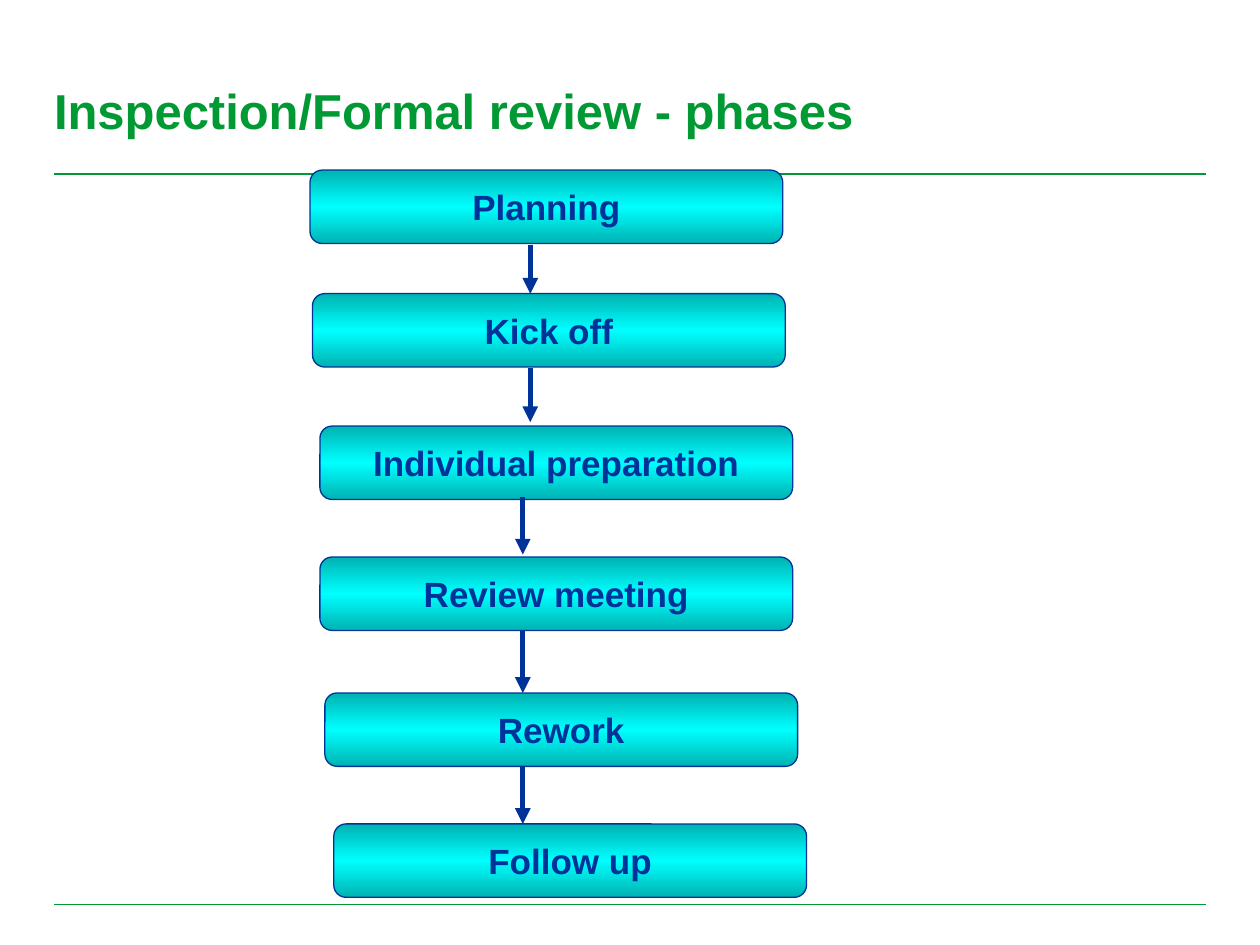
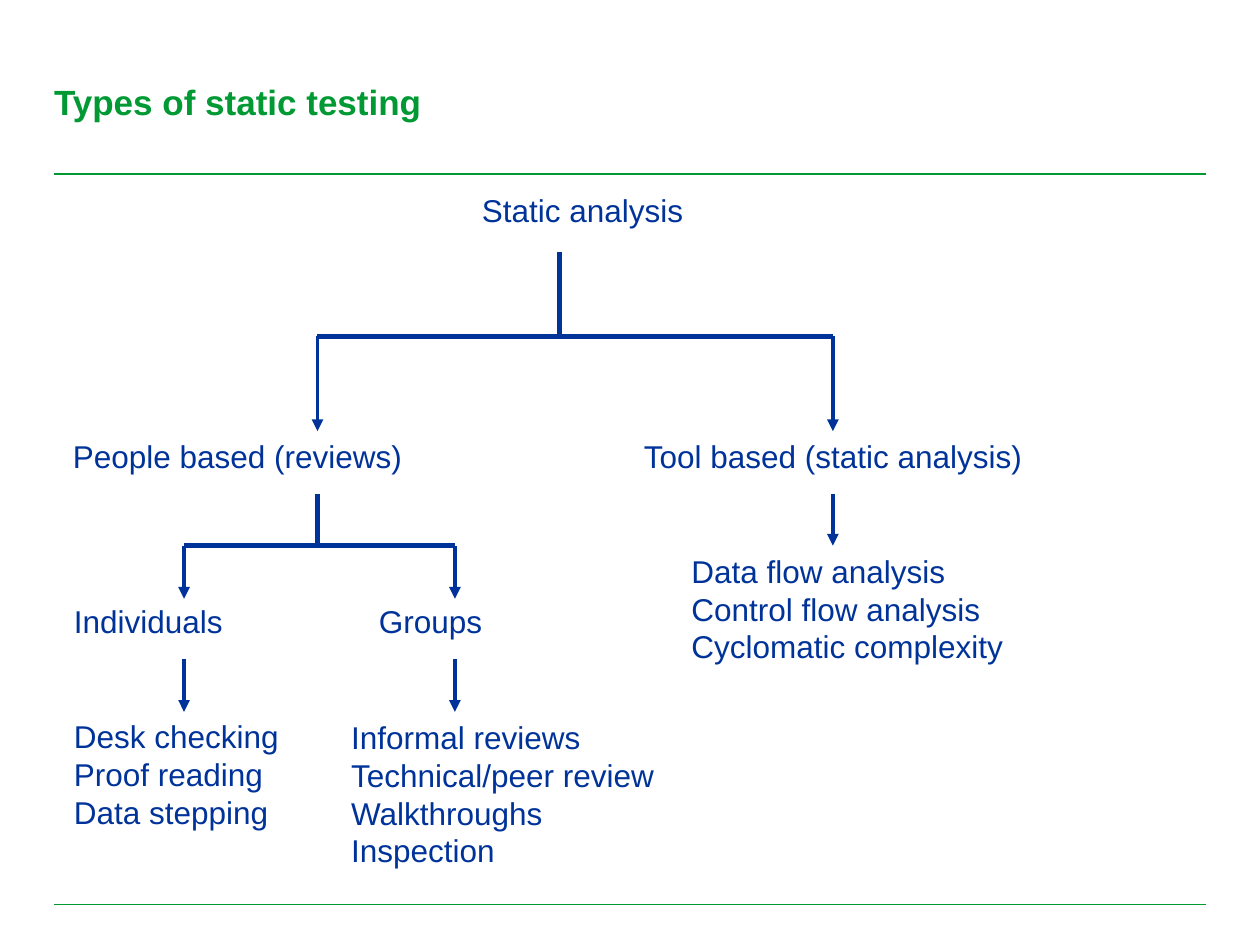
"""Build two slides: the phases of a formal review and the types of static testing."""
from copy import deepcopy

from pptx import Presentation
from pptx.dml.color import RGBColor
from pptx.enum.shapes import MSO_CONNECTOR, MSO_SHAPE
from pptx.enum.text import MSO_ANCHOR, PP_ALIGN
from pptx.oxml.ns import qn
from pptx.oxml.xmlchemy import OxmlElement
from pptx.util import Cm, Pt

COLORS = {"green": "009933", "navy": "003399", "teal": "00B2B2", "cyan": "00FFFF"}
FONT = "Arial"

RULE_LEFT, RULE_RIGHT = 1.09, 24.31
RULE_TOPS = (3.51, 18.24)
TITLE_TOP, TITLE_WIDTH = 1.63, 20.68

PHASES_TITLE = ("Inspection/Formal review - phases", 28)
PHASE_WIDTH, PHASE_HEIGHT = 9.53, 1.48
PHASES = [
    ("Planning", 6.25, 3.43),
    ("Kick off", 6.3, 5.92),
    ("Individual preparation", 6.45, 8.59),
    ("Review meeting", 6.45, 11.23),
    ("Rework", 6.55, 13.97),
    ("Follow up", 6.73, 16.61),
]
PHASE_ARROWS = [
    (10.69, 4.93, 5.92),
    (10.69, 7.42, 8.51),
    (10.54, 10.01, 11.18),
    (10.54, 12.7, 13.97),
    (10.54, 15.44, 16.61),
]

TYPES_TITLE = ("Types of static testing", 20)
BRANCHES = [
    {"stem": 11.28, "top": 5.08, "bar": 6.78, "tips": 8.69, "children": (6.4, 16.79)},
    {"stem": 6.4, "top": 9.96, "bar": 11.0, "tips": 12.07, "children": (3.71, 9.17)},
]
DETAIL_ARROWS = [(3.71, 13.28, 14.35), (9.17, 13.28, 14.35), (16.79, 9.96, 11.0)]
ROOT = ("Static analysis", 7.39, 3.73, 8.71)
LABELS = [
    (["People based (reviews)"], 1.22, 8.69, 7.21),
    (["Tool based (static analysis)"], 12.73, 8.69, 8.2),
    (["Individuals"], 1.24, 12.01, 3.53),
    (["Groups"], 7.39, 12.01, 2.62),
    (["Desk checking", "Proof reading", "Data stepping"], 1.24, 14.33, 4.67),
    (["Informal reviews", "Technical/peer review", "Walkthroughs", "Inspection"],
     6.83, 14.35, 8.43),
    (["Data flow analysis", "Control flow analysis", "Cyclomatic complexity"],
     13.69, 11.0, 6.86),
]


def rgb(name):
    return RGBColor.from_string(COLORS[name])


def write(frame, lines, size, color="navy", bold=False, align=PP_ALIGN.LEFT):
    frame.text = "\n".join(lines)
    for paragraph in frame.paragraphs:
        paragraph.alignment = align
        paragraph.font.name = FONT
        paragraph.font.size = Pt(size)
        paragraph.font.bold = bold
        paragraph.font.color.rgb = rgb(color)


def add_line(slide, start, end, width, color="navy", arrow=False):
    points = [Cm(value) for value in (*start, *end)]
    connector = slide.shapes.add_connector(MSO_CONNECTOR.STRAIGHT, *points)
    connector.line.width = Pt(width)
    connector.line.color.rgb = rgb(color)
    if arrow:
        tail = OxmlElement("a:tailEnd")
        tail.set("type", "triangle")
        connector.line._get_or_add_ln().append(tail)
    connector._element.spPr.append(OxmlElement("a:effectLst"))


def add_down_arrow(slide, x, top, bottom, width):
    add_line(slide, (x, top), (x, bottom), width, arrow=True)


def add_label(slide, lines, left, top, width, align=PP_ALIGN.LEFT):
    height = 0.25 + 0.76 * len(lines)
    box = slide.shapes.add_textbox(Cm(left), Cm(top), Cm(width), Cm(height))
    box.text_frame.word_wrap = align == PP_ALIGN.CENTER
    write(box.text_frame, lines, 18, align=align)


def add_phase(slide, name, left, top):
    shape = slide.shapes.add_shape(MSO_SHAPE.ROUNDED_RECTANGLE, Cm(left), Cm(top),
                                   Cm(PHASE_WIDTH), Cm(PHASE_HEIGHT))
    shape.shadow.inherit = False
    shape.line.width = Pt(0.75)
    shape.line.color.rgb = rgb("navy")
    shape.fill.gradient()
    shape.fill.gradient_angle = 90
    stop_list = shape._element.spPr.find(".//" + qn("a:gsLst"))
    stop_list.insert(1, deepcopy(stop_list[0]))
    bands = ((0, "teal"), (0.5, "cyan"), (1, "teal"))
    for stop, (position, color) in zip(shape.fill.gradient_stops, bands):
        stop.position = position
        stop.color.rgb = rgb(color)
    frame = shape.text_frame
    frame.word_wrap = False
    frame.vertical_anchor = MSO_ANCHOR.MIDDLE
    write(frame, [name], 20, bold=True, align=PP_ALIGN.CENTER)


def add_titled_slide(presentation, title, size):
    slide = presentation.slides.add_slide(presentation.slide_layouts[6])
    for top in RULE_TOPS:
        add_line(slide, (RULE_LEFT, top), (RULE_RIGHT, top), 0.75, "green")
    box = slide.shapes.add_textbox(Cm(RULE_LEFT), Cm(TITLE_TOP),
                                   Cm(TITLE_WIDTH), Pt(size * 1.2))
    frame = box.text_frame
    frame.word_wrap = True
    frame.margin_left = frame.margin_right = frame.margin_top = frame.margin_bottom = 0
    write(frame, [title], size, "green", bold=True)
    return slide


def build_phases(presentation):
    slide = add_titled_slide(presentation, *PHASES_TITLE)
    for phase in PHASES:
        add_phase(slide, *phase)
    for arrow in PHASE_ARROWS:
        add_down_arrow(slide, *arrow, 3)


def build_types(presentation):
    slide = add_titled_slide(presentation, *TYPES_TITLE)
    for branch in BRANCHES:
        stem, bar, children = branch["stem"], branch["bar"], branch["children"]
        add_line(slide, (stem, branch["top"]), (stem, bar), 3)
        add_line(slide, (children[0], bar), (children[-1], bar), 3)
        for x in children:
            add_down_arrow(slide, x, bar, branch["tips"], 2.25)
    for arrow in DETAIL_ARROWS:
        add_down_arrow(slide, *arrow, 2.25)
    for label in LABELS:
        add_label(slide, *label)
    name, *place = ROOT
    add_label(slide, [name], *place, align=PP_ALIGN.CENTER)


def main():
    presentation = Presentation()
    presentation.slide_width, presentation.slide_height = Cm(25.4), Cm(19.05)
    build_phases(presentation)
    build_types(presentation)
    presentation.save("out.pptx")


if __name__ == "__main__":
    main()
